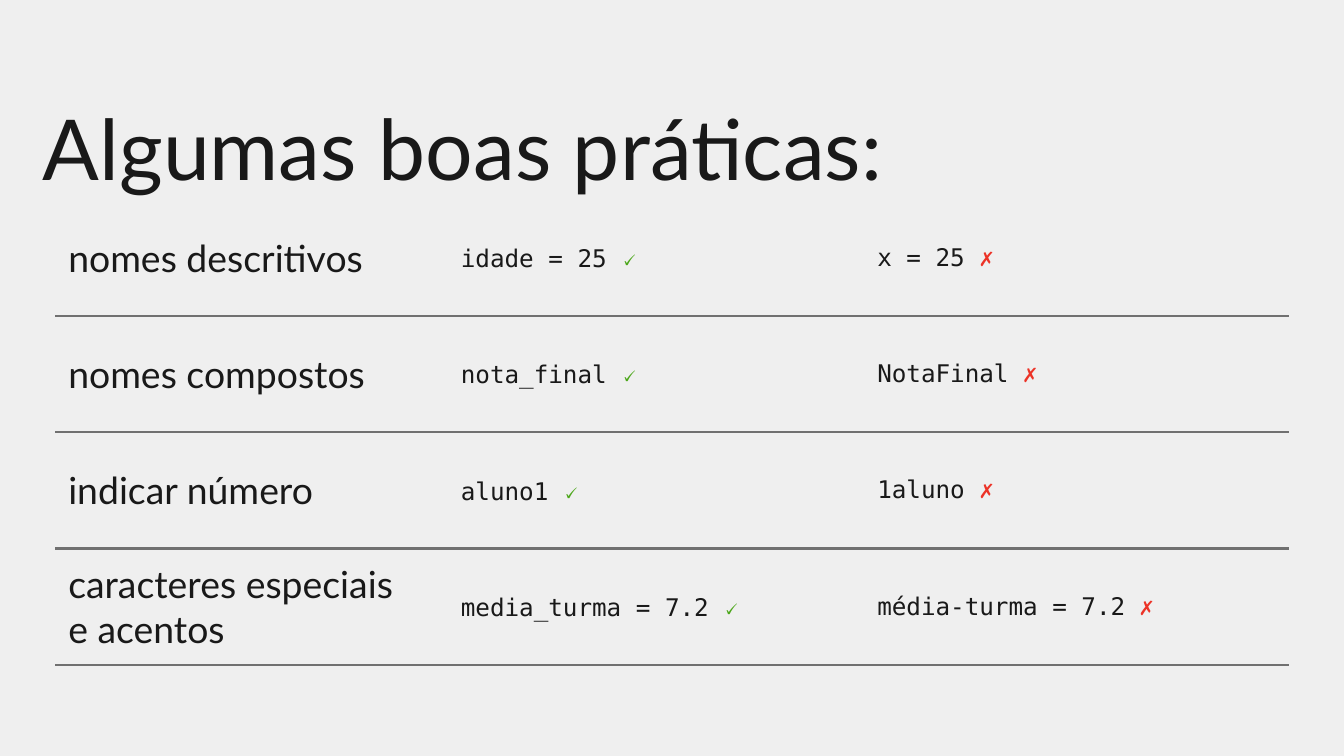
from dataclasses import dataclass

from lxml import etree
from pptx import Presentation
from pptx import util as u
from pptx.dml.color import RGBColor
from pptx.enum import text
from pptx.oxml import ns


@dataclass(frozen=True)
class Theme:
    background: str = "EFEFEF"
    ink: str = "191919"
    rule: str = "707070"
    good: str = "4CA71A"
    bad: str = "EC3327"
    heading_font: str = "Lato"
    code_font: str = "DejaVu Sans Mono"
    title_size: float = 45
    label_size: float = 20
    code_size: float = 13
    check_size: float = 15
    rule_width: float = 1.5


@dataclass(frozen=True)
class RunStyle:
    font: str
    size: float
    color: str
    bold: bool = False


@dataclass(frozen=True)
class Practice:
    label: tuple[str, ...]
    good: str
    bad: str


THEME = Theme()
TITLE = RunStyle(THEME.heading_font, THEME.title_size, THEME.ink)
LABEL = RunStyle(THEME.heading_font, THEME.label_size, THEME.ink)
CODE = RunStyle(THEME.code_font, THEME.code_size, THEME.ink)
CHECK = RunStyle(THEME.code_font, THEME.check_size, THEME.good, True)
CROSS = RunStyle(THEME.code_font, THEME.code_size, THEME.bad, True)

INSET = u.Cm(0.25)
ROW_HEIGHT = u.Cm(2.2)
COLUMN_WIDTHS = (u.Cm(7.42), u.Cm(7.87), u.Cm(8.03))

PRACTICES = (
    Practice(("nomes descritivos",), "idade = 25", "x = 25"),
    Practice(("nomes compostos",), "nota_final", "NotaFinal"),
    Practice(("indicar número",), "aluno1", "1aluno"),
    Practice(("caracteres especiais", "e acentos"), "media_turma = 7.2", "média-turma = 7.2"),
)


def add_run(paragraph, content: str, style: RunStyle) -> None:
    run = paragraph.add_run()
    run.text = content
    run.font.name = style.font
    run.font.size = u.Pt(style.size)
    run.font.bold = style.bold
    run.font.color.rgb = RGBColor.from_string(style.color)


def set_insets(target) -> None:
    target.margin_left = target.margin_right = INSET
    target.margin_top = target.margin_bottom = INSET
    target.vertical_anchor = text.MSO_ANCHOR.MIDDLE


def set_borders(cell, ruled_sides: str) -> None:
    properties = cell._tc.get_or_add_tcPr()
    for index, side in enumerate("LRTB"):
        line = etree.Element(ns.qn(f"a:ln{side}"), w=str(u.Pt(THEME.rule_width)))
        if side in ruled_sides:
            fill = etree.SubElement(line, ns.qn("a:solidFill"))
            etree.SubElement(fill, ns.qn("a:srgbClr"), val=THEME.rule)
        else:
            etree.SubElement(line, ns.qn("a:noFill"))
        properties.insert(index, line)


def add_title(slide, content: str) -> None:
    title = slide.shapes.title
    title.left, title.top = u.Cm(0.56), u.Cm(1.93)
    title.width, title.height = u.Cm(23.7), u.Cm(1.68)
    frame = title.text_frame
    frame.word_wrap = True
    frame.auto_size = text.MSO_AUTO_SIZE.NONE
    set_insets(frame)
    paragraph = frame.paragraphs[0]
    paragraph.alignment = text.PP_ALIGN.LEFT
    add_run(paragraph, content, TITLE)


def fill_row(table, row: int, practice: Practice) -> None:
    label, good, bad = (table.cell(row, column) for column in range(3))
    for cell in (label, good, bad):
        cell.fill.background()
        set_insets(cell)
        set_borders(cell, "TB" if row else "B")

    frame = label.text_frame
    for index, line in enumerate(practice.label):
        paragraph = frame.add_paragraph() if index else frame.paragraphs[0]
        add_run(paragraph, line, LABEL)

    for cell, code, mark, style in (
        (good, practice.good, "🗸", CHECK),
        (bad, practice.bad, "✗", CROSS),
    ):
        paragraph = cell.text_frame.paragraphs[0]
        add_run(paragraph, f"{code} ", CODE)
        add_run(paragraph, mark, style)


def add_practices(slide, practices: tuple[Practice, ...]) -> None:
    frame = slide.shapes.add_table(
        len(practices), len(COLUMN_WIDTHS), u.Cm(1.04), u.Cm(3.77),
        sum(COLUMN_WIDTHS), ROW_HEIGHT * len(practices),
    )
    table = frame.table
    table.first_row = table.horz_banding = False
    for column, width in zip(table.columns, COLUMN_WIDTHS):
        column.width = width
    for row, practice in enumerate(practices):
        table.rows[row].height = ROW_HEIGHT
        fill_row(table, row, practice)


def main() -> None:
    presentation = Presentation()
    presentation.slide_width = u.Cm(25.4)
    presentation.slide_height = u.Cm(14.29)
    slide = presentation.slides.add_slide(presentation.slide_layouts[5])
    slide.background.fill.solid()
    slide.background.fill.fore_color.rgb = RGBColor.from_string(THEME.background)
    add_title(slide, "Algumas boas práticas:")
    add_practices(slide, PRACTICES)
    presentation.save("out.pptx")


if __name__ == "__main__":
    main()
